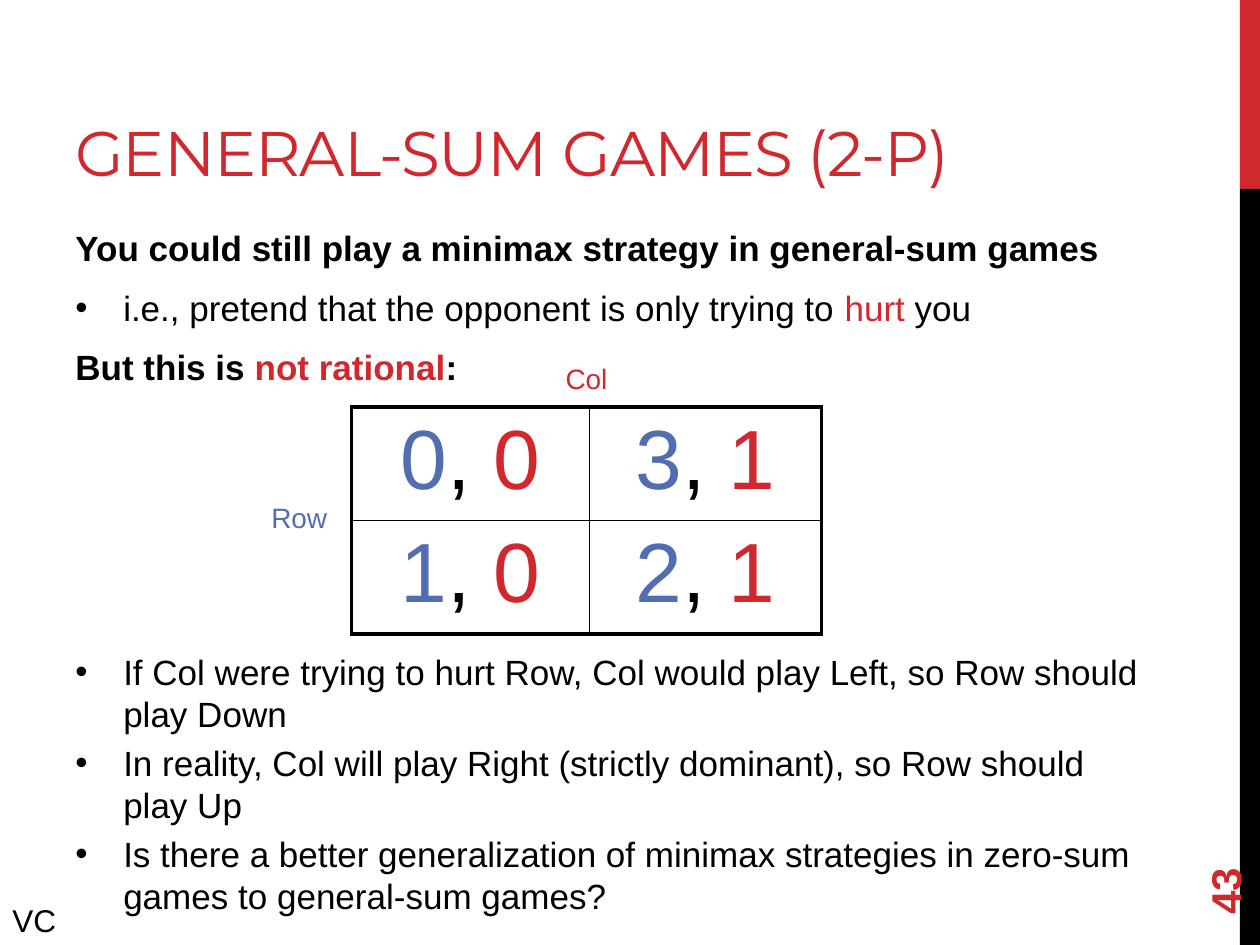
"""Build the slide on general-sum games with its payoff table."""
from lxml import etree
from pptx import Presentation, util as u
from pptx.dml.color import RGBColor
from pptx.enum import shapes, text
from pptx.oxml.ns import qn

RED, BLUE, BLACK = "D1282E", "526DB0", "000000"
rgb = RGBColor.from_string
inch = u.Inches


def box(left, top, width, height, anchor=text.MSO_ANCHOR.TOP):
    """Add a wrapping text box and return it."""
    area = slide.shapes.add_textbox(inch(left), inch(top), inch(width), inch(height))
    area.text_frame.word_wrap = True
    area.text_frame.vertical_anchor = anchor
    return area


def write(frame, *runs, size=20, bold=False, color=BLACK, face="Arial",
          align=None, bullet=False, before=0, after=0, track=0):
    """Write one paragraph of runs, each a string or a (string, colour) pair."""
    para = frame.add_paragraph() if frame.text else frame.paragraphs[0]
    para.alignment = align
    para.space_before, para.space_after = u.Pt(before), u.Pt(after)
    if bullet:
        props = para._p.get_or_add_pPr()
        props.set("marL", str(inch(0.38)))
        props.set("indent", str(inch(-0.38)))
        etree.SubElement(props, qn("a:buFont")).set("typeface", "Arial")
        etree.SubElement(props, qn("a:buChar")).set("char", "•")
    for item in runs:
        words, shade = (item, color) if isinstance(item, str) else item
        run = para.add_run()
        run.text = words
        font = run.font
        font.name, font.size, font.bold = face, u.Pt(size), bold
        font.color.rgb = rgb(shade)
        if track:
            run._r.get_or_add_rPr().set("spc", str(round(track * 100)))


deck = Presentation()
deck.slide_width, deck.slide_height = inch(10), inch(7.5)
slide = deck.slides.add_slide(deck.slide_layouts[6])
mid = text.PP_ALIGN.CENTER

for top, height, shade in ((0, 1.5, RED), (1.5, 6, BLACK)):
    bar = slide.shapes.add_shape(shapes.MSO_SHAPE.RECTANGLE, inch(9.84), inch(top),
                                 inch(0.16), inch(height))
    bar.shadow.inherit = False
    bar.fill.solid()
    bar.fill.fore_color.rgb = rgb(shade)
    bar.line.fill.background()

title = box(0.5, 0.3, 9, 1.25, text.MSO_ANCHOR.BOTTOM)
write(title.text_frame, "GENERAL-SUM GAMES (2-P)", size=36, color=RED,
      face="Montserrat", track=-0.6)

body = box(0.5, 1.75, 8.75, 1.4).text_frame
write(body, "You could still play a minimax strategy in general-sum games",
      bold=True, after=6)
write(body, "i.e., pretend that the opponent is only trying to ", ("hurt", RED), " you",
      bullet=True, before=4, after=6)
write(body, "But this is ", ("not rational", RED), ":", bold=True, before=4, after=6)

games = ((("0", "0"), ("3", "1")), (("1", "0"), ("2", "1")))
grid = slide.shapes.add_table(2, 2, inch(2.79), inch(3.23), inch(3.73), inch(1.7)).table
grid.first_row = grid.horz_banding = False
grid.columns[0].width, grid.columns[1].width = inch(1.89), inch(1.84)
for r, line in enumerate(games):
    grid.rows[r].height = inch(0.85)
    for c, (row, col) in enumerate(line):
        cell = grid.cell(r, c)
        write(cell.text_frame, (row, BLUE), ", ", (col, RED), size=48, align=mid)
        props = cell._tc.get_or_add_tcPr()
        outer = {"L": c == 0, "R": c == 1, "T": r == 0, "B": r == 1}
        for side, thick in outer.items():
            edge = etree.SubElement(props, qn(f"a:ln{side}"))
            edge.set("w", str(u.Pt(2.25 if thick else 1)))
            paint = etree.SubElement(edge, qn("a:solidFill"))
            etree.SubElement(paint, qn("a:srgbClr")).set("val", BLACK)
        cell.fill.background()

notes = box(0.5, 5.11, 8.75, 2.05).text_frame
points = (
    "If Col were trying to hurt Row, Col would play Left, so Row should play Down",
    "In reality, Col will play Right (strictly dominant), so Row should play Up",
    "Is there a better generalization of minimax strategies in zero-sum games "
    "to general-sum games?",
)
for n, point in enumerate(points):
    write(notes, point, bullet=True, before=4 if n else 0)

for name, left, top, shade in (("Row", 1.77, 3.92, BLUE), ("Col", 4.05, 2.82, RED)):
    write(box(left, top, 1.21, 0.37).text_frame, name, size=16, color=shade, align=mid)

write(box(0, 7.1, 0.56, 0.4).text_frame, "VC", size=18)

page = box(9, 6.44, 1.44, 0.4, text.MSO_ANCHOR.MIDDLE)
page.rotation = 270
write(page.text_frame, "43", size=24, bold=True, color=RED)

deck.save("out.pptx")
